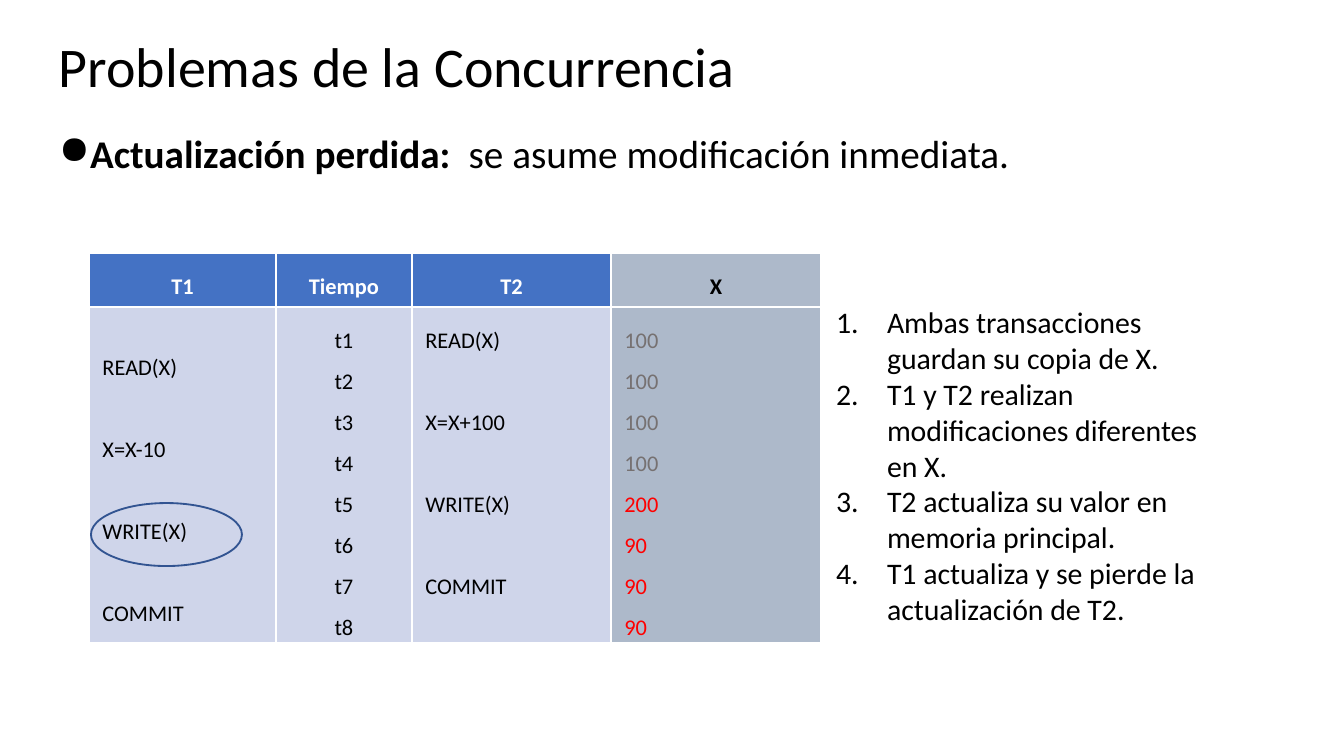
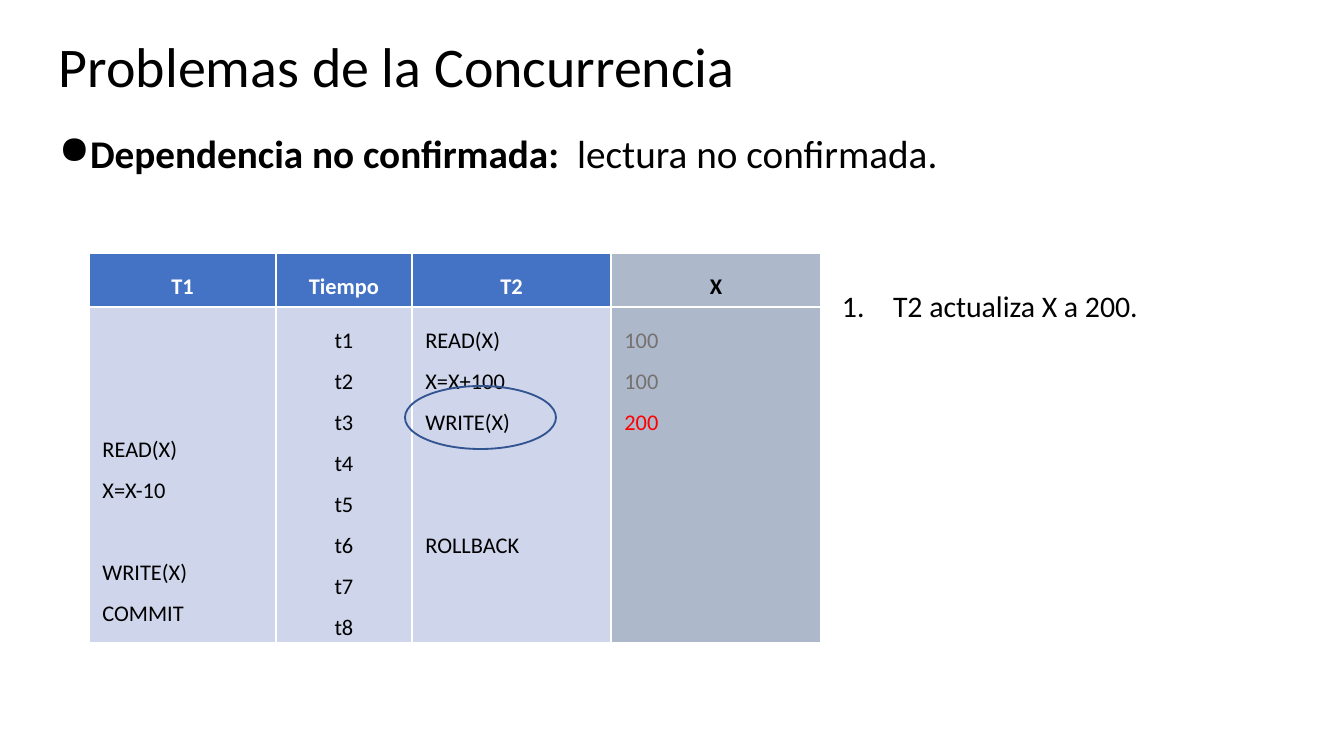
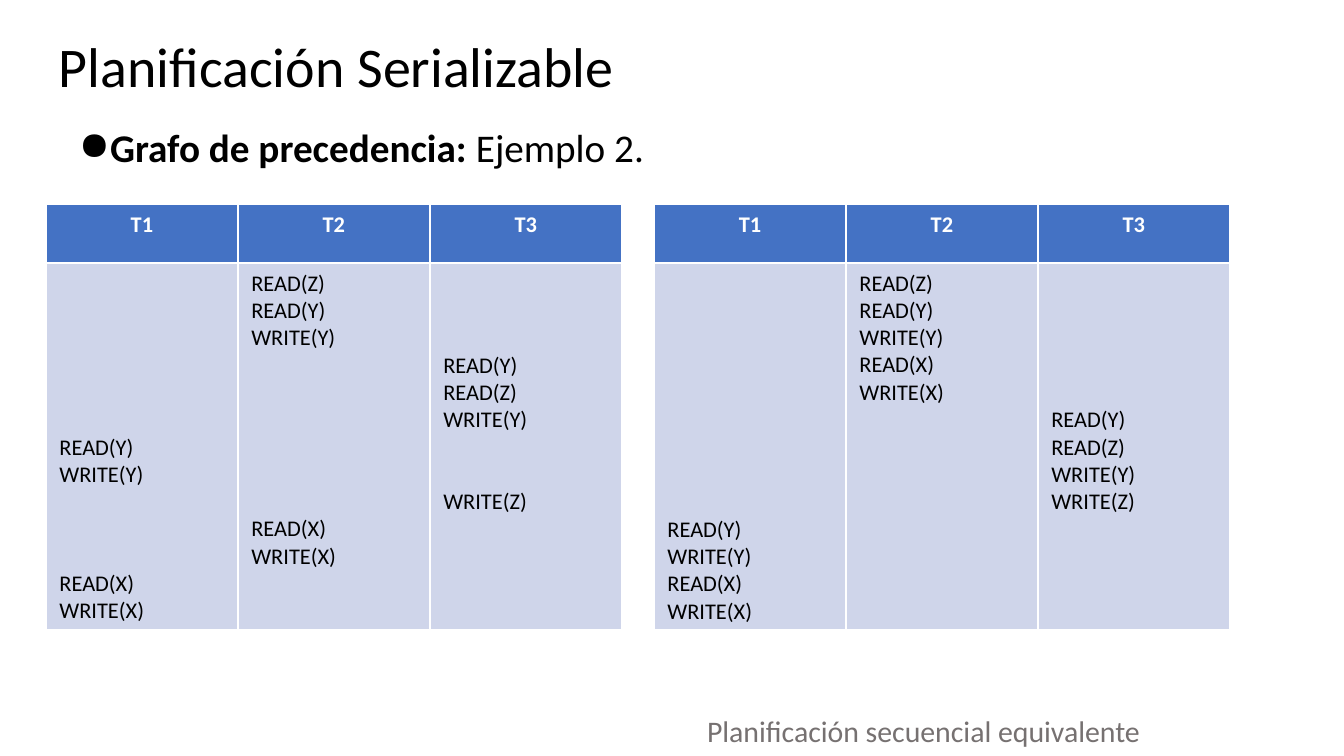
from lxml import etree
from pptx import Presentation
from pptx import util as u
from pptx.dml.color import RGBColor
from pptx.enum import shapes, text
from pptx.oxml.ns import qn

PX = 6804
FONT = "Calibri"
BLACK = RGBColor(0, 0, 0)
WHITE = RGBColor(255, 255, 255)
BLUE = RGBColor(0x44, 0x72, 0xC4)
PALE_BLUE = RGBColor(0xCF, 0xD5, 0xEA)
STEEL = RGBColor(0xAD, 0xB9, 0xCA)
GREY = RGBColor(0x76, 0x71, 0x71)
RED = RGBColor(255, 0, 0)
OUTLINE = RGBColor(0x32, 0x54, 0x91)

TIMES = "t1 t2 t3 t4 t5 t6 t7 t8"
CONCURRENCY = {"left": 89, "top": 253, "widths": [187, 136, 199, 210],
               "heights": [47, 335], "spacing": 1.5, "headers": ["T1", "Tiempo", "T2", "X"]}
SERIAL = {"top": 204, "widths": [192] * 3, "heights": [59, 363], "spacing": 1.0,
          "headers": ["T1", "T2", "T3"]}

SLIDES = [
    {"title": "Problemas de la Concurrencia",
     "topic": ["Actualización perdida: ", " se asume modificación inmediata."],
     "topic_box": (46, 116, 1253, 555), "topic_spacing": 1.0,
     "tables": [CONCURRENCY | {"columns": [
         "- READ(X) - X=X-10 - WRITE(X) - COMMIT", TIMES,
         "READ(X) - X=X+100 - WRITE(X) - COMMIT", "100 100 100 100 200 90 90 90"]}],
     "steps_box": (823, 297, 414, 388),
     "steps": ["Ambas transacciones guardan su copia de X.",
               "T1 y T2 realizan modificaciones diferentes en X.",
               "T2 actualiza su valor en memoria principal.",
               "T1 actualiza y se pierde la actualización de T2."],
     "highlight": (91, 503)},
    {"title": "Problemas de la Concurrencia",
     "topic": ["Dependencia no confirmada: ", " lectura no confirmada."],
     "topic_box": (46, 116, 1253, 555), "topic_spacing": 1.0,
     "tables": [CONCURRENCY | {"columns": [
         "- - - READ(X) X=X-10 - WRITE(X) COMMIT", TIMES,
         "READ(X) X=X+100 WRITE(X) - - ROLLBACK", "100 100 200"]}],
     "steps_box": (829, 281, 414, 50),
     "steps": ["T2 actualiza X a 200."],
     "highlight": (405, 386)},
    {"title": "Planificación Serializable",
     "topic": ["Grafo de precedencia: ", "Ejemplo 2."],
     "topic_box": (66, 116, 1177, 95), "topic_spacing": 0.9,
     "tables": [
         SERIAL | {"left": 46, "columns": [
             "- - - - - - READ(Y) WRITE(Y) - - - READ(X) WRITE(X)",
             "READ(Z) READ(Y) WRITE(Y) - - - - - - READ(X) WRITE(X)",
             "- - - READ(Y) READ(Z) WRITE(Y) - - WRITE(Z)"]},
         SERIAL | {"left": 654, "columns": [
             "- - - - - - - - - READ(Y) WRITE(Y) READ(X) WRITE(X)",
             "READ(Z) READ(Y) WRITE(Y) READ(X) WRITE(X)",
             "- - - - - READ(Y) READ(Z) WRITE(Y) WRITE(Z)"]}],
     "caption": "Planificación secuencial equivalente"},
]


def add_text(slide, box, paragraphs, size, color=BLACK, margin=7, bullet=None, indent=(0, 0)):
    shape = slide.shapes.add_textbox(*[length * PX for length in box])
    frame = shape.text_frame
    frame.word_wrap = True
    frame.margin_left = frame.margin_right = 13 * PX
    frame.margin_top = frame.margin_bottom = margin * PX
    for index, runs in enumerate(paragraphs):
        paragraph = frame.paragraphs[0] if index == 0 else frame.add_paragraph()
        for words in runs:
            paragraph.add_run().text = words
        if bullet:
            properties = paragraph._p.get_or_add_pPr()
            properties.set("marL", str(indent[0] * PX))
            properties.set("indent", str(indent[1] * PX))
            tag, attribute, value = bullet
            etree.SubElement(properties, qn(tag)).set(attribute, value)
        paragraph.font.name = FONT
        paragraph.font.size = u.Pt(size)
        paragraph.font.color.rgb = color
    return frame


def fill_cell(cell, fill, words, color, bold, align, spacing):
    cell.fill.solid()
    cell.fill.fore_color.rgb = fill
    line_height = 14.65 * spacing
    gap = 0
    first = True
    for word in words:
        if word == "-":
            gap += 1
            continue
        if first:
            paragraph = cell.text_frame.paragraphs[0]
            if gap:
                cell.margin_top = u.Pt(3.6 + gap * line_height - 14.65 * (spacing - 1))
        else:
            paragraph = cell.text_frame.add_paragraph()
            if gap:
                paragraph.space_before = u.Pt(gap * line_height)
        paragraph.text = word
        paragraph.alignment = align
        paragraph.line_spacing = spacing
        paragraph.font.name = FONT
        paragraph.font.size = u.Pt(12)
        paragraph.font.bold = bold
        paragraph.font.color.rgb = color(word)
        first, gap = False, 0


presentation = Presentation()
presentation.slide_width = 1344 * PX
presentation.slide_height = 756 * PX

for content in SLIDES:
    slide = presentation.slides.add_slide(presentation.slide_layouts[6])

    title = add_text(slide, (46, 23, 1253, 93), [[content["title"]]], 30, margin=13)
    title.vertical_anchor = text.MSO_ANCHOR.MIDDLE
    title.paragraphs[0].line_spacing = 0.9

    topic = add_text(slide, content["topic_box"], [content["topic"]], 21, margin=13,
                     bullet=("a:buChar", "char", "●"), indent=(27, -38))
    topic.paragraphs[0].line_spacing = content["topic_spacing"]
    topic.paragraphs[0].runs[0].font.bold = True

    for schedule in content["tables"]:
        widths, heights = schedule["widths"], schedule["heights"]
        table = slide.shapes.add_table(
            2, len(widths), schedule["left"] * PX, schedule["top"] * PX,
            sum(widths) * PX, sum(heights) * PX).table
        for row, height in zip(table.rows, heights):
            row.height = height * PX
        for index, (header, steps) in enumerate(zip(schedule["headers"], schedule["columns"])):
            table.columns[index].width = widths[index] * PX
            is_value = header == "X"
            fill_cell(table.cell(0, index), STEEL if is_value else BLUE, [header],
                      lambda word: BLACK if word == "X" else WHITE, True,
                      text.PP_ALIGN.CENTER, schedule["spacing"])
            fill_cell(table.cell(1, index), STEEL if is_value else PALE_BLUE, steps.split(),
                      lambda word: {"100": GREY, "200": RED, "90": RED}.get(word, BLACK), False,
                      text.PP_ALIGN.CENTER if header == "Tiempo" else text.PP_ALIGN.LEFT,
                      schedule["spacing"])

    if "steps" in content:
        add_text(slide, content["steps_box"], [[step] for step in content["steps"]], 16,
                 bullet=("a:buAutoNum", "type", "arabicPeriod"), indent=(51, -51))
        left, top = content["highlight"]
        ellipse = slide.shapes.add_shape(shapes.MSO_SHAPE.OVAL, left * PX, top * PX, 151 * PX, 63 * PX)
        ellipse.shadow.inherit = False
        ellipse.fill.background()
        ellipse.line.color.rgb = OUTLINE
        ellipse.line.width = u.Pt(1)

    if "caption" in content:
        caption = add_text(slide, (694, 706, 465, 50), [[content["caption"]]], 16, GREY)
        caption.word_wrap = False

presentation.save("out.pptx")
